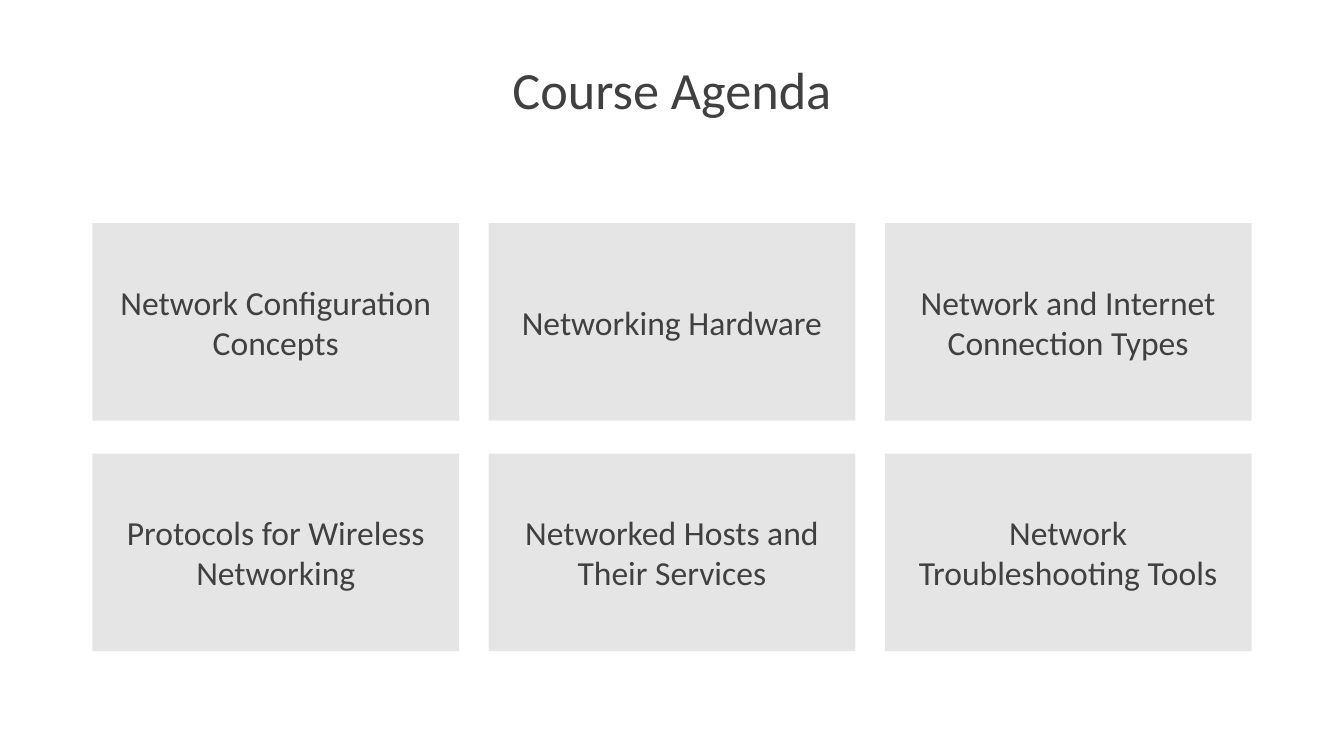
from pptx import Presentation
from pptx.dml.color import RGBColor
from pptx.enum import shapes, text
from pptx.util import Pt

INK = "404040"
TILE = "E5E5E5"


def colour(value):
    return RGBColor.from_string(value)


def write(frame, words, size, inset, spacing):
    """Put one centred paragraph into a text frame."""
    settings = {
        "word_wrap": True,
        "auto_size": text.MSO_AUTO_SIZE.NONE,
        "vertical_anchor": text.MSO_ANCHOR.MIDDLE,
    }
    for side in ("left", "top", "right", "bottom"):
        settings[f"margin_{side}"] = Pt(inset)
    for name, value in settings.items():
        setattr(frame, name, value)
    para = frame.paragraphs[0]
    para.alignment = text.PP_ALIGN.CENTER
    for name, value in spacing.items():
        setattr(para, name, value)
    span = para.add_run()
    span.text = words
    for name, value in {"name": "Calibri", "size": Pt(size), "bold": False}.items():
        setattr(span.font, name, value)
    span.font.color.rgb = colour(INK)


deck = Presentation()
deck.slide_width, deck.slide_height = Pt(1440), Pt(810)
page = deck.slides.add_slide(deck.slide_layouts[5])
page.background.fill.solid()
page.background.fill.fore_color.rgb = colour("FFFFFF")

# Title
left, width = 99, 1242
title = page.shapes.title
place = {"left": left, "top": 67.7, "width": width, "height": 64}
for name, value in place.items():
    setattr(title, name, Pt(value))
write(title.text_frame, "Course Agenda", 56, 0, {"line_spacing": 0.9})

# Agenda tiles in a grid of three columns
topics = [
    "Network Configuration Concepts",
    "Networking Hardware",
    "Network and Internet Connection Types",
    "Protocols for Wireless Networking",
    "Networked Hosts and Their Services",
    "Network Troubleshooting Tools",
]
columns, gap = 3, 31.5
tile_width = (width - (columns - 1) * gap) / columns
tile_height, first_top, row_step = 211.7, 239, 247

for index, topic in enumerate(topics):
    row, column = divmod(index, columns)
    box = page.shapes.add_shape(
        shapes.MSO_SHAPE.RECTANGLE,
        Pt(left + column * (tile_width + gap)),
        Pt(first_top + row * row_step),
        Pt(tile_width),
        Pt(tile_height),
    )
    box.shadow.inherit = False
    box.fill.solid()
    box.fill.fore_color.rgb = colour(TILE)
    box.line.fill.background()
    write(box.text_frame, topic, 36, 21.6, {"space_before": Pt(27)})

deck.save("out.pptx")
